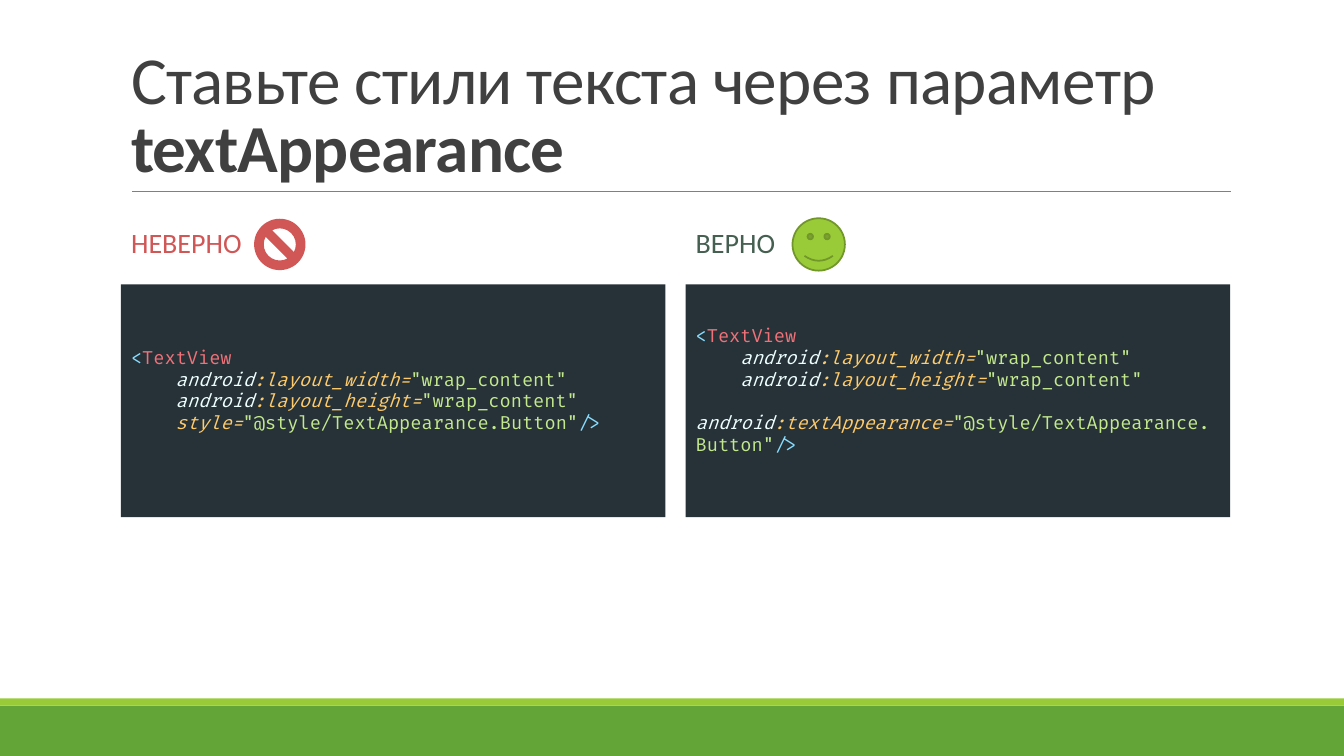
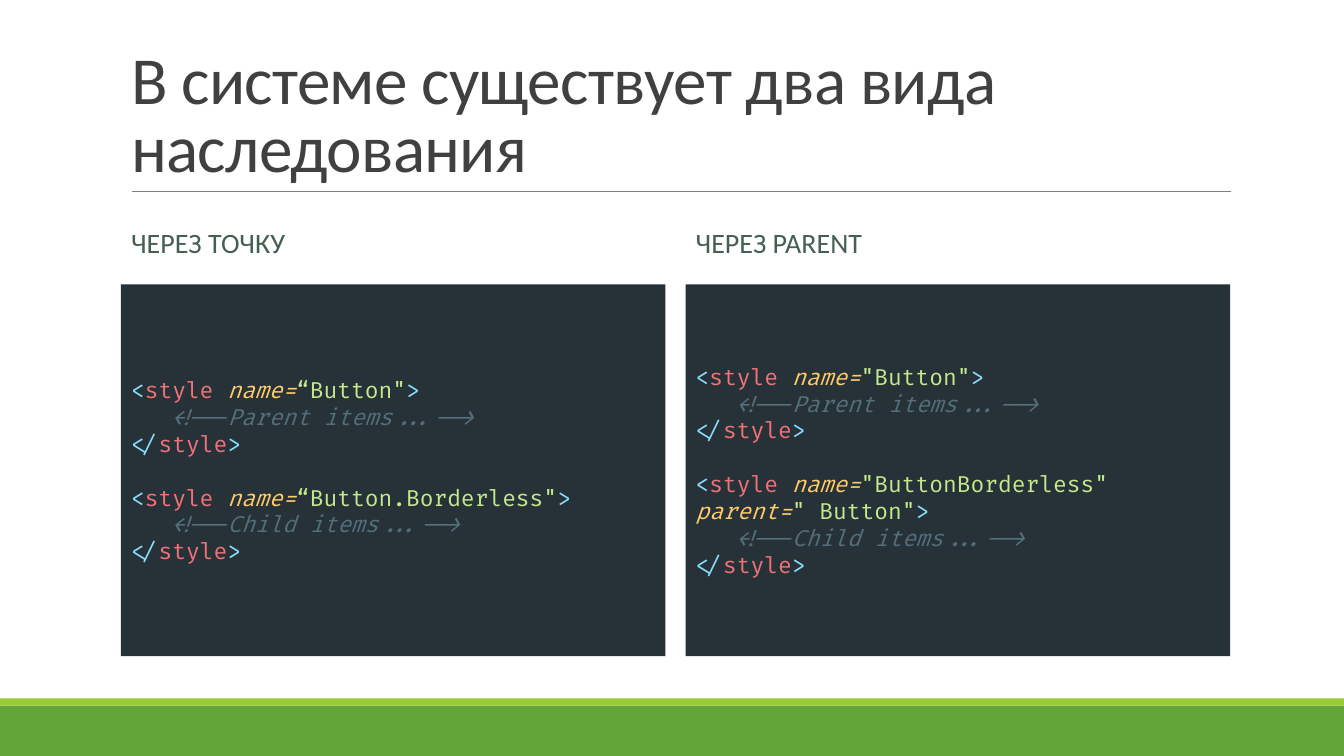
from copy import deepcopy

from lxml import etree
from pptx import Presentation
from pptx.dml.color import RGBColor
from pptx.enum import shapes, text
from pptx.oxml.ns import qn
from pptx.util import Inches, Pt

COLORS = {
    "title": "404040", "rule": "808080", "band": "63A537", "stripe": "99CB38",
    "good": "455F51", "bad": "D15757", "smile": "99CB38", "smile_line": "719629",
    "panel": "263238", "mark": "89DDFF", "tag": "F07178", "space": "EEFFFF",
    "attr": "FFCB6B", "value": "C3E88D", "comment": "546E7A",
}
ITALIC_TOKENS = {"space", "attr", "comment"}
SLIDE_W, SLIDE_H = 13.33, 7.5
LEFT, COLUMN_W, GAP = 1.2, 5.4, 0.2
TITLE_BOX = (LEFT, 0.31, 2 * COLUMN_W + GAP, 1.59)
HEAD_TOP, HEAD_H = 2.02, 0.81
CODE_TOP = 2.82


def rgb(name):
    return RGBColor.from_string(COLORS[name])


def place(sp, left, top, width, height):
    sp.left, sp.top = Inches(left), Inches(top)
    sp.width, sp.height = Inches(width), Inches(height)


def add_text(p, content, size, color, font="Calibri", bold=False, italic=False, spacing=None):
    """Append formatted text; each newline becomes a line break of the same format."""
    props = None
    for i, piece in enumerate(content.split("\n")):
        if i:
            p.add_line_break()
            p._p.findall(qn("a:br"))[-1].append(deepcopy(props))
        if piece:
            r = p.add_run()
            r.text = piece
            r.font.size, r.font.name = Pt(size), font
            r.font.bold, r.font.italic = bold, italic
            r.font.color.rgb = rgb(color)
            props = r._r.rPr
            if spacing is not None:
                props.set("spc", str(int(spacing * 100)))


def prepare(sp, anchor, line_spacing=1.0):
    """Clear list formatting of a placeholder and return its first paragraph."""
    tf = sp.text_frame
    tf.word_wrap = True
    tf.auto_size = text.MSO_AUTO_SIZE.NONE
    tf.vertical_anchor = anchor
    p = tf.paragraphs[0]
    props = p._p.get_or_add_pPr()
    props.set("marL", "0")
    props.set("indent", "0")
    etree.SubElement(props, qn("a:buNone"))
    p.alignment = text.PP_ALIGN.LEFT
    p.line_spacing = line_spacing
    p.space_before = p.space_after = Pt(0)
    return p


def add_figure(slide, kind, box, fill, line=None):
    sp = slide.shapes.add_shape(kind, *map(Inches, box))
    sp.shadow.inherit = False
    sp.fill.solid()
    sp.fill.fore_color.rgb = rgb(fill)
    if line:
        sp.line.color.rgb = rgb(line)
        sp.line.width = Pt(1.25)
    else:
        sp.line.fill.background()
    return sp


def add_frame(slide):
    """Draw the bands and title rule, then hand them to the slide's layout."""
    rect = shapes.MSO_SHAPE.RECTANGLE
    band = add_figure(slide, rect, (0, 7, SLIDE_W, 0.5), "band")
    stripe = add_figure(slide, rect, (0, 6.93, SLIDE_W, 0.07), "stripe")
    rule = slide.shapes.add_connector(
        shapes.MSO_CONNECTOR.STRAIGHT, Inches(1.31), Inches(1.9), Inches(12.21), Inches(1.9))
    rule.line.color.rgb = rgb("rule")
    rule.line.width = Pt(0.5)
    etree.SubElement(rule.element.spPr, qn("a:effectLst"))
    for number, sp in enumerate((band, stripe, rule), start=100):
        sp.element.find(".//" + qn("p:cNvPr")).set("id", str(number))
        slide.slide_layout.shapes.element.append(sp.element)


def add_title(slide, parts):
    title = slide.shapes.title
    place(title, *TITLE_BOX)
    p = prepare(title, text.MSO_ANCHOR.BOTTOM, 0.85)
    for content, bold in parts:
        add_text(p, content, 48, "title", bold=bold, spacing=-0.5)


def add_code(sp, box, tokens, size):
    place(sp, *box)
    sp.fill.solid()
    sp.fill.fore_color.rgb = rgb("panel")
    p = prepare(sp, text.MSO_ANCHOR.MIDDLE)
    for kind, content in tokens:
        add_text(p, content, size, kind, font="Fira Code", italic=kind in ITALIC_TOKENS)
    end = etree.SubElement(p._p, qn("a:endParaRPr"), sz=str(size * 100))
    etree.SubElement(end, qn("a:latin"), typeface="Fira Code")


def add_icon(slide, kind, column_left, offset, size, fill, line=None):
    top = HEAD_TOP + (HEAD_H - size) / 2
    add_figure(slide, kind, (column_left + offset, top, size, size), fill, line)


def add_comparison(prs, title, columns, code_h, size):
    """Add a slide with two headed code columns; return it with the column lefts."""
    slide = prs.slides.add_slide(prs.slide_layouts[4])
    add_title(slide, title)
    lefts = [LEFT + i * (COLUMN_W + GAP) for i in range(len(columns))]
    for i, (left, (heading, color, tokens)) in enumerate(zip(lefts, columns)):
        head, code = (slide.placeholders[2 * i + n] for n in (1, 2))
        place(head, left, HEAD_TOP, COLUMN_W, HEAD_H)
        add_text(prepare(head, text.MSO_ANCHOR.MIDDLE, 0.9), heading, 20, color)
        add_code(code, (left, CODE_TOP, COLUMN_W, code_h), tokens, size)
    return slide, lefts


def attribute(name, value, end=""):
    return [("attr", f"{name}="), ("value", value + end)]


def android_attribute(name, value, end=""):
    return [("space", "android"), *attribute(f":{name}", f'"{value}"', end)]


def text_view(last_attribute):
    indent = "\n    "
    return [("mark", "<"), ("tag", "TextView" + indent),
            *android_attribute("layout_width", "wrap_content", indent),
            *android_attribute("layout_height", "wrap_content", indent),
            *last_attribute, ("mark", "/>\n")]


def style_block(attributes, comment, end=""):
    return [("mark", "<"), ("tag", "style "), *attributes, ("mark", ">\n   "),
            ("comment", f"<!--{comment} items...-->\n"),
            ("mark", "</"), ("tag", "style"), ("mark", ">" + end)]


def style_pair(parent, child):
    return style_block(parent, "Parent", "\n\n") + style_block(child, "Child")


def add_appearance_slide(prs):
    button = "@style/TextAppearance.Button"
    slide, (wrong, right) = add_comparison(
        prs,
        [("Ставьте стили текста через параметр ", False), ("textAppearance", True)],
        [("НЕВЕРНО", "bad", text_view(attribute("style", f'"{button}"'))),
         ("ВЕРНО", "good", text_view(android_attribute("textAppearance", button)))],
        code_h=2.31, size=13)
    add_icon(slide, shapes.MSO_SHAPE.NO_SYMBOL, wrong, 1.32, 0.51, "bad")
    add_icon(slide, shapes.MSO_SHAPE.SMILEY_FACE, right, 1.06, 0.52, "smile", "smile_line")
    return slide


def add_inheritance_slide(prs):
    by_dot = style_pair(attribute("name", '“Button"'),
                        attribute("name", '“Button.Borderless"'))
    by_parent = style_pair(attribute("name", '"Button"'),
                           attribute("name", '"ButtonBorderless"', " ")
                           + attribute("parent", '" Button"'))
    add_comparison(
        prs, [("В системе существует два вида наследования", False)],
        [("ЧЕРЕЗ ТОЧКУ", "good", by_dot), ("ЧЕРЕЗ PARENT", "good", by_parent)],
        code_h=3.69, size=16)


def main():
    prs = Presentation()
    prs.slide_width, prs.slide_height = Inches(SLIDE_W), Inches(SLIDE_H)
    add_frame(add_appearance_slide(prs))
    add_inheritance_slide(prs)
    prs.save("out.pptx")


if __name__ == "__main__":
    main()
